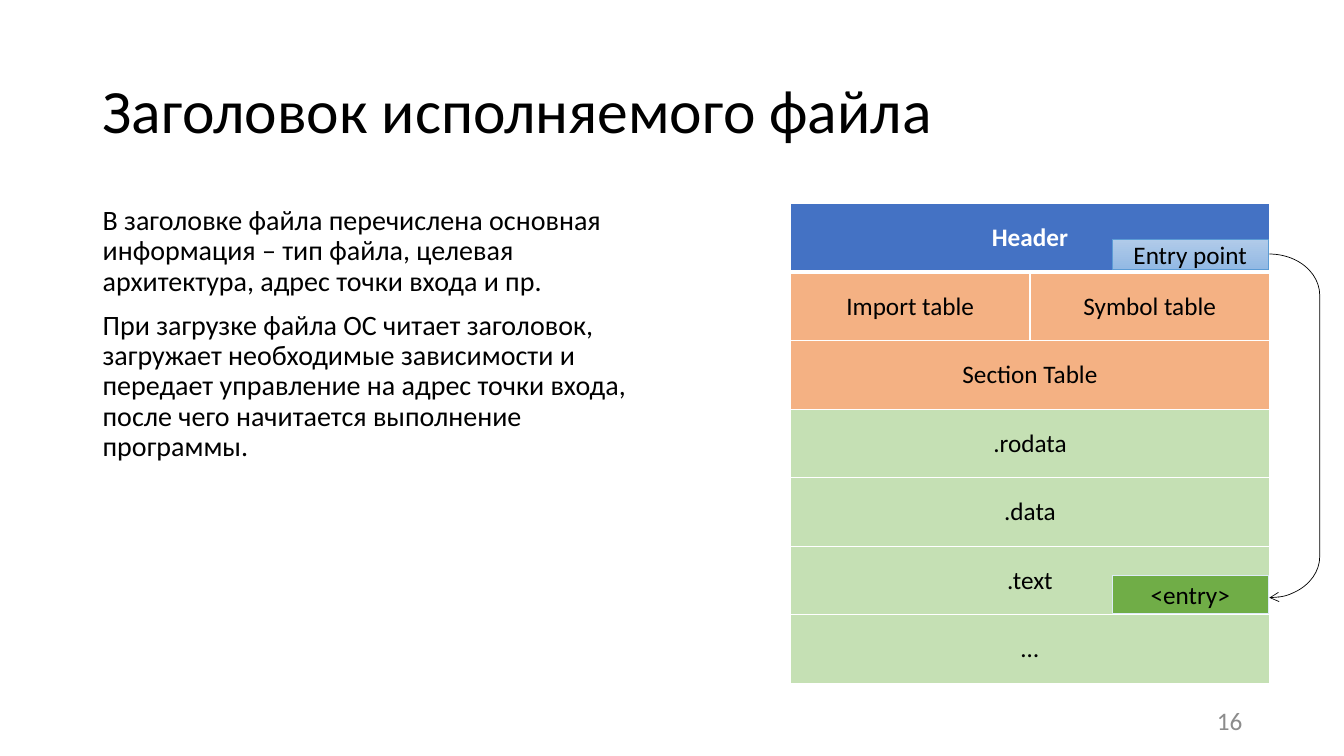
from dataclasses import dataclass

import lxml.etree
import pptx
import pptx.dml.color
import pptx.enum.shapes
import pptx.enum.text
import pptx.oxml.ns
import pptx.util

Inches = pptx.util.Inches
Pt = pptx.util.Pt
RGBColor = pptx.dml.color.RGBColor
Align = pptx.enum.text.PP_ALIGN
Anchor = pptx.enum.text.MSO_ANCHOR
ShapeType = pptx.enum.shapes.MSO_SHAPE


@dataclass(frozen=True)
class Theme:
    font: str = "Calibri"
    title_size: int = 44
    body_size: int = 20
    label_size: int = 18
    black: str = "000000"
    white: str = "FFFFFF"
    gray: str = "8C8C8C"
    header: str = "4472C4"
    tables: str = "F4B183"
    sections: str = "C5E0B4"
    point_light: str = "B1CBE9"
    point_dark: str = "93B9E4"
    point_line: str = "5B9BD5"
    entry: str = "70AD47"
    entry_line: str = "DEEBF7"


@dataclass(frozen=True)
class Box:
    left: float
    top: float
    width: float
    height: float

    def lengths(self) -> tuple:
        return tuple(Inches(n) for n in (self.left, self.top, self.width, self.height))


@dataclass(frozen=True)
class FileRow:
    labels: tuple[str, ...]
    fill: str


@dataclass(frozen=True)
class Label:
    text: str
    box: Box
    fills: tuple[str, ...]
    line: str


THEME = Theme()
TITLE = "Заголовок исполняемого файла"
BODY = (
    "В заголовке файла перечислена основная информация – тип файла, "
    "целевая архитектура, адрес точки входа и пр.",
    "При загрузке файла ОС читает заголовок, загружает необходимые зависимости "
    "и передает управление на адрес точки входа, после чего начитается "
    "выполнение программы.",
)
FILE_ROWS = (
    FileRow(("Header",), THEME.header),
    FileRow(("Import table", "Symbol table"), THEME.tables),
    FileRow(("Section Table",), THEME.tables),
    *(FileRow((name,), THEME.sections) for name in (".rodata", ".data", ".text", "…")),
)
LABELS = (
    Label("Entry point", Box(11.03, 2.37, 1.55, 0.3),
          (THEME.point_light, THEME.point_dark), THEME.point_line),
    Label("<entry>", Box(11.03, 5.71, 1.55, 0.38), (THEME.entry,), THEME.entry_line),
)


def rgb(color: str) -> RGBColor:
    return RGBColor.from_string(color)


def write_text(frame, lines: tuple[str, ...], size: int, color: str = THEME.black,
               align=Align.LEFT, anchor=Anchor.MIDDLE, bold: bool = False,
               line_spacing: float = 1.0, space_before: int = 0) -> None:
    frame.word_wrap = True
    frame.vertical_anchor = anchor
    for index, line in enumerate(lines):
        paragraph = frame.add_paragraph() if index else frame.paragraphs[0]
        paragraph.text = line
        paragraph.alignment = align
        paragraph.line_spacing = line_spacing
        paragraph.space_before = Pt(space_before)
        paragraph.font.name = THEME.font
        paragraph.font.size = Pt(size)
        paragraph.font.bold = bold
        paragraph.font.color.rgb = rgb(color)


def add_text(slide, box: Box, lines: tuple[str, ...], size: int, **style) -> None:
    shape = slide.shapes.add_textbox(*box.lengths())
    write_text(shape.text_frame, lines, size, **style)


def add_borders(cell, top: int, bottom: int) -> None:
    properties = cell._tc.get_or_add_tcPr()
    for side, width in (("L", 1), ("R", 1), ("T", top), ("B", bottom)):
        line = lxml.etree.SubElement(
            properties, pptx.oxml.ns.qn(f"a:ln{side}"), w=str(Pt(width)))
        fill = lxml.etree.SubElement(line, pptx.oxml.ns.qn("a:solidFill"))
        lxml.etree.SubElement(fill, pptx.oxml.ns.qn("a:srgbClr"), val=THEME.white)


def add_file_table(slide, box: Box, rows: tuple[FileRow, ...]) -> None:
    table = slide.shapes.add_table(len(rows), 2, *box.lengths()).table
    for index, row in enumerate(rows):
        is_header = index == 0
        for column in range(2):
            cell = table.cell(index, column)
            add_borders(cell, 3 if index == 1 else 1, 3 if is_header else 1)
            cell.fill.solid()
            cell.fill.fore_color.rgb = rgb(row.fill)
        if len(row.labels) == 1:
            table.cell(index, 0).merge(table.cell(index, 1))
        for column, label in enumerate(row.labels):
            cell = table.cell(index, column)
            cell.vertical_anchor = Anchor.MIDDLE
            write_text(cell.text_frame, (label,), THEME.label_size,
                       THEME.white if is_header else THEME.black,
                       Align.CENTER, bold=is_header)


def add_label(slide, label: Label) -> None:
    shape = slide.shapes.add_shape(ShapeType.RECTANGLE, *label.box.lengths())
    shape.shadow.inherit = False
    if len(label.fills) > 1:
        shape.fill.gradient()
        shape.fill.gradient_angle = 270
        for stop, color in zip(shape.fill.gradient_stops, label.fills):
            stop.color.rgb = rgb(color)
    else:
        shape.fill.solid()
        shape.fill.fore_color.rgb = rgb(label.fills[0])
    shape.line.color.rgb = rgb(label.line)
    shape.line.width = Pt(0.5)
    write_text(shape.text_frame, (label.text,), THEME.label_size, align=Align.CENTER)


def add_jump_arrow(slide, box: Box) -> None:
    bracket = slide.shapes.add_shape(ShapeType.LEFT_BRACKET, *box.lengths())
    bracket.shadow.inherit = False
    bracket.adjustments[0] = 0.82
    bracket.fill.background()
    bracket.line.color.rgb = rgb(THEME.black)
    bracket.line.width = Pt(0.5)
    properties = bracket.element.spPr
    properties.find(pptx.oxml.ns.qn("a:xfrm")).set("flipH", "1")
    line = properties.find(pptx.oxml.ns.qn("a:ln"))
    lxml.etree.SubElement(line, pptx.oxml.ns.qn("a:headEnd"), type="arrow")


def main() -> None:
    presentation = pptx.Presentation()
    presentation.slide_width = Inches(13.33)
    presentation.slide_height = Inches(7.5)
    slide = presentation.slides.add_slide(presentation.slide_layouts[5])

    # Title and explanation
    title = slide.shapes.title
    title.left, title.top, title.width, title.height = Box(0.92, 0.4, 11.5, 1.45).lengths()
    write_text(title.text_frame, (TITLE,), THEME.title_size, line_spacing=0.9)
    add_text(slide, Box(0.92, 2, 5.57, 4.76), BODY, THEME.body_size,
             anchor=Anchor.TOP, line_spacing=0.9, space_before=10)

    # Layout of the executable file
    add_file_table(slide, Box(7.84, 2.02, 4.75, 4.76), FILE_ROWS)

    # Entry point and the code it refers to
    for label in LABELS:
        add_label(slide, label)
    add_jump_arrow(slide, Box(12.59, 2.52, 0.5, 3.41))

    # Slide number
    add_text(slide, Box(9.42, 6.95, 3, 0.4), ("16",), THEME.label_size,
             color=THEME.gray, align=Align.RIGHT)

    presentation.save("out.pptx")


if __name__ == "__main__":
    main()
